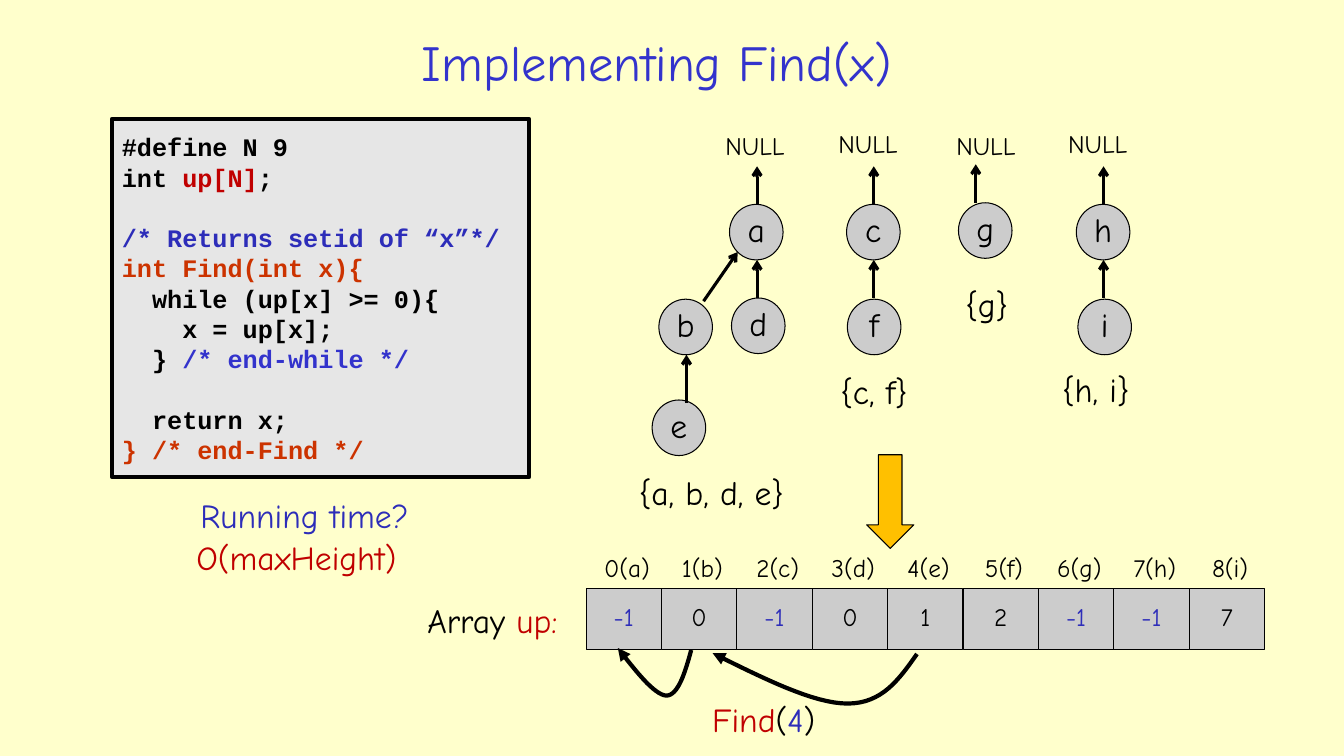
from dataclasses import dataclass
from lxml.etree import SubElement as Sub
from pptx import Presentation
from pptx.dml.color import RGBColor as Rgb
from pptx.enum.shapes import MSO_CONNECTOR as Link, MSO_SHAPE as Form
from pptx.enum.text import MSO_ANCHOR as Anchor, MSO_AUTO_SIZE as Fit, PP_ALIGN as Align
from pptx.oxml.ns import qn
from pptx.util import Cm, Pt


@dataclass(frozen=True)
class Theme:
    page: Rgb = Rgb.from_string("FFFFCC")
    panel: Rgb = Rgb.from_string("E6E6E6")
    grey: Rgb = Rgb.from_string("CCCCCC")
    gold: Rgb = Rgb.from_string("FFC000")
    black: Rgb = Rgb.from_string("000000")
    blue: Rgb = Rgb.from_string("3333CC")
    navy: Rgb = Rgb.from_string("2D2DB9")
    red: Rgb = Rgb.from_string("C00000")
    rust: Rgb = Rgb.from_string("CC3300")
    hand: str = "Comic Neue"
    mono: str = "Courier New"
    head: int = 36
    text: int = 24
    small: int = 18


look = Theme()


def write(para, runs, size, face=look.hand):
    for words, color in runs:
        run = para.add_run()
        run.text = words
        run.font.name = face
        run.font.size = Pt(size)
        run.font.bold = face == look.mono
        run.font.color.rgb = color


def point(shape, width, tip):
    shape.line.color.rgb = look.black
    shape.line.width = Pt(width)
    props = shape._element.spPr
    Sub(props.find(qn("a:ln")), qn("a:tailEnd"), type=tip)
    Sub(props, qn("a:effectLst"))


deck = Presentation()
deck.slide_width, deck.slide_height = Cm(33.87), Cm(19.05)
slide = deck.slides.add_slide(deck.slide_layouts[5])
slide.background.fill.solid()
slide.background.fill.fore_color.rgb = look.page
shapes = slide.shapes

title = shapes.title
title.left, title.top, title.width, title.height = Cm(5.18), Cm(0.66), Cm(22.76), Cm(1.75)
frame = title.text_frame
frame.auto_size = Fit.NONE
frame.vertical_anchor = Anchor.MIDDLE
frame.paragraphs[0].alignment = Align.CENTER
write(frame.paragraphs[0], [("Implementing Find(x)", look.blue)], look.head)

nodes = [
    ("a", 19.06, 5.85), ("b", 17.28, 8.24), ("d", 19.11, 8.21),
    ("e", 17.11, 10.78), ("c", 22.01, 5.85), ("f", 22.03, 8.24),
    ("g", 24.83, 5.81), ("h", 27.8, 5.85), ("i", 27.84, 8.24),
]
wide, high = 1.35, 1.4
cells = [-1, 0, -1, 0, 1, 2, -1, -1, 7]
left, step = 14.77, 1.9

blocks = [(Form.RECTANGLE, 2.82, 3, 10.52, 9.02, look.panel, 3, [], 0)]
for name, x, y in nodes:
    blocks.append((Form.OVAL, x - wide / 2, y - high / 2, wide, high,
                   look.grey, 0.75, [(name, look.black)], look.text))
blocks.append((Form.DOWN_ARROW, 21.84, 11.46, 1.19, 2.36, look.gold, 0.75, [], 0))
for spot, value in enumerate(cells):
    color = look.navy if value < 0 else look.black
    blocks.append((Form.RECTANGLE, left + spot * step, 14.83, step, 1.55,
                   look.grey, 0.75, [(str(value), color)], look.small))

drawn = []
for form, x, y, w, h, fill, weight, runs, size in blocks:
    shape = shapes.add_shape(form, Cm(x), Cm(y), Cm(w), Cm(h))
    shape.shadow.inherit = False
    shape.fill.solid()
    shape.fill.fore_color.rgb = fill
    shape.line.color.rgb = look.black
    shape.line.width = Pt(weight)
    drawn.append(shape)
    if runs:
        frame = shape.text_frame
        frame.word_wrap = False
        frame.vertical_anchor = Anchor.MIDDLE
        frame.margin_left = frame.margin_right = frame.margin_top = 0
        frame.margin_bottom = Cm(0.15)
        frame.paragraphs[0].alignment = Align.CENTER
        write(frame.paragraphs[0], runs, size)

code = [
    (0, [("#define N 9", look.black)]),
    (0, [("int ", look.black), ("up[N]", look.red), (";", look.black)]),
    (1, [("/* Returns setid of “x”*/", look.navy)]),
    (0, [("int Find(int x){", look.rust)]),
    (0, [("  while (up[x] >= 0){", look.black)]),
    (0, [("    x = up[x];", look.black)]),
    (0, [("  } ", look.black), ("/* end-while */", look.blue)]),
    (1, [("  return x;", look.black)]),
    (0, [("} /* end-Find */", look.rust)]),
]
pitch = Pt(21.6)
frame = drawn[0].text_frame
frame.word_wrap = False
frame.vertical_anchor = Anchor.MIDDLE
for row, (gap, runs) in enumerate(code):
    para = frame.add_paragraph() if row else frame.paragraphs[0]
    para.alignment = Align.LEFT
    para.line_spacing = pitch
    para.space_before = pitch * gap
    write(para, runs, look.small, look.mono)

arrows = [
    (17.73, 7.59, 18.59, 6.35), (17.3, 10.16, 17.3, 8.94),
    (24.59, 5.11, 24.59, 4.14),
]
for x in (19.08, 22.02, 27.81):
    arrows += [(x, 7.5, x, 6.55), (x, 5.16, x, 4.19)]
for ends in arrows:
    link = shapes.add_connector(Link.STRAIGHT, *[Cm(end) for end in ends])
    point(link, 2.25, "arrow")

curves = [
    [(23.11, 16.48), (22.66, 17.12), (22.23, 17.73), (21.36, 17.73),
     (20.5, 17.73), (19.23, 17.09), (17.96, 16.46)],
    [(17.42, 16.38), (17.27, 16.94), (17.09, 17.53), (16.79, 17.53),
     (16.48, 17.5), (16.03, 16.92), (15.57, 16.33)],
]
parts = 16
for curve in curves:
    dots = []
    for first in (0, 3):
        for part in range(1, parts + 1):
            t = part / parts
            mix = ((1 - t) ** 3, 3 * t * (1 - t) ** 2, 3 * t * t * (1 - t), t ** 3)
            dots.append([Cm(sum(m * knot[axis] for m, knot in zip(mix, curve[first:first + 4])))
                         for axis in (0, 1)])
    path = shapes.build_freeform(Cm(curve[0][0]), Cm(curve[0][1]))
    path.add_line_segments(dots, close=False)
    jump = path.convert_to_shape()
    jump.fill.background()
    point(jump, 3, "triangle")

labels = [
    (15.85, 11.76, 4.52, [("{a, b, d, e}", look.black)], look.text, Align.LEFT),
    (20.93, 9.22, 2.49, [("{c, f}", look.black)], look.text, Align.LEFT),
    (24.08, 7.04, 1.63, [("{g}", look.black)], look.text, Align.LEFT),
    (26.52, 9.17, 2.36, [("{h, i}", look.black)], look.text, Align.LEFT),
    (10.52, 14.99, 4.24, [("Array ", look.black), ("up:", look.red)], look.text, Align.LEFT),
    (17.7, 17.48, 3.38, [("Find", look.red), ("(", look.black), ("4", look.navy),
                         (")", look.black)], look.text, Align.LEFT),
    (4.8, 12.34, 6.02, [("Running time?", look.navy)], look.text, Align.LEFT),
    (4.7, 13.41, 6.12, [("O(maxHeight)", look.red)], look.text, Align.LEFT),
]
for x, y in ((18.03, 3.15), (20.88, 3.12), (23.85, 3.15), (26.67, 3.12)):
    labels.append((x, y, 2.24, [("NULL", look.black)], look.small, Align.LEFT))
for spot, name in enumerate("abcdefghi"):
    labels.append((left + 0.08 + spot * step, 13.79, step,
                   [(f"{spot}({name})", look.black)], look.small, Align.CENTER))
for x, y, w, runs, size, align in labels:
    box = shapes.add_textbox(Cm(x), Cm(y), Cm(w), Cm(1.3 if size == look.text else 1.02))
    frame = box.text_frame
    frame.word_wrap = False
    frame.paragraphs[0].alignment = align
    write(frame.paragraphs[0], runs, size)

deck.save("out.pptx")
